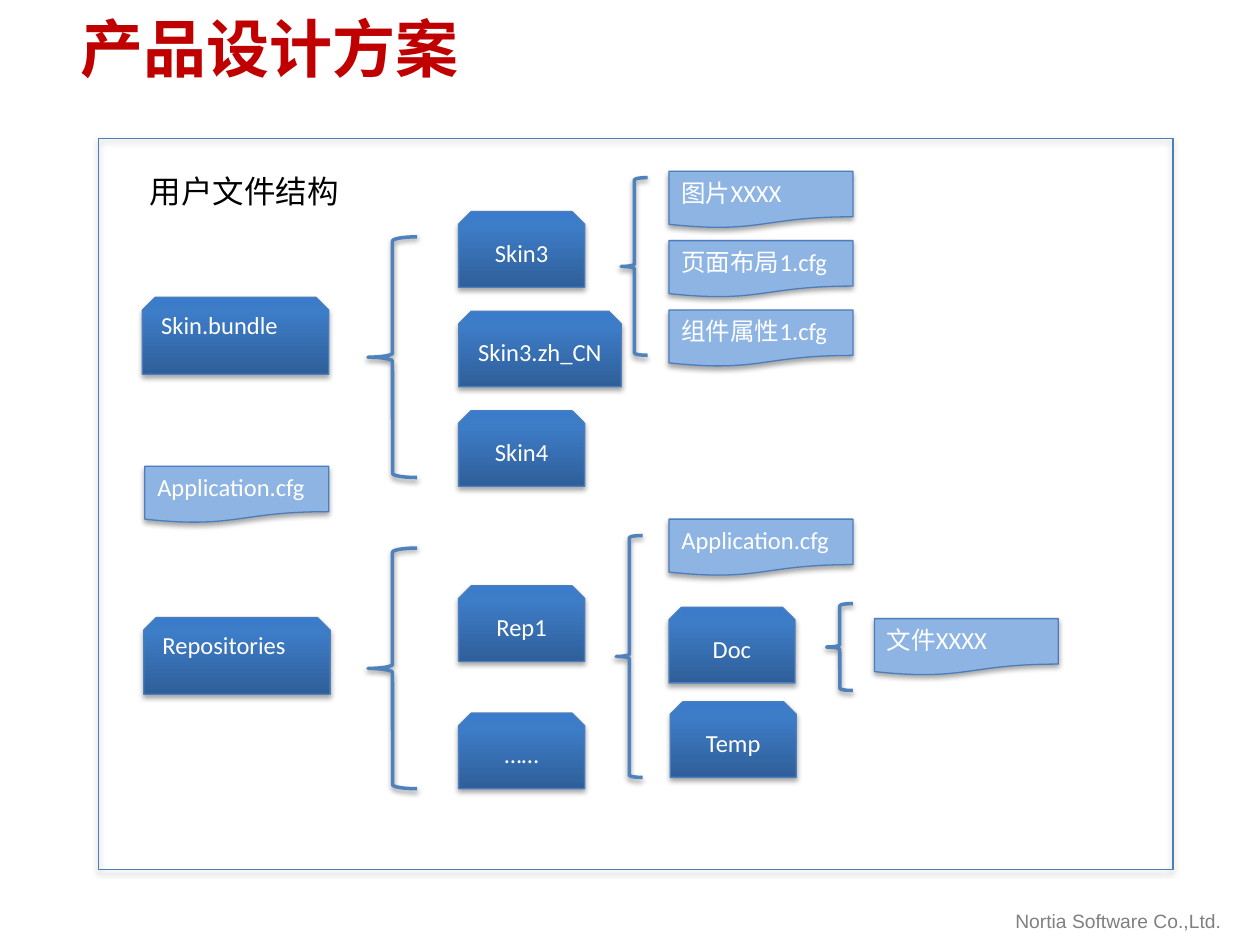
"""Builds the product design slide showing the user file structure."""
from copy import deepcopy
from dataclasses import dataclass

from lxml import etree
from pptx import Presentation
from pptx.dml.color import RGBColor as RGB
from pptx.enum.shapes import MSO_SHAPE as Shape
from pptx.enum.text import MSO_ANCHOR as Anchor, MSO_AUTO_SIZE as AutoSize, PP_ALIGN as Align
from pptx.oxml.ns import qn
from pptx.util import Inches, Pt


@dataclass(frozen=True)
class Theme:
    """Colours, fonts and sizes of the slide."""
    font: str = "Calibri"
    footer_font: str = "Arial"
    title: str = "C00000"
    heading: str = "000000"
    footer: str = "808080"
    label: str = "FFFFFF"
    document: str = "8EB4E3"
    outline: str = "4B7EBC"
    brace: str = "4F81BD"
    folder: tuple = ((0, "2F5F99"), (0.8, "3D7CC7"), (1, "3A7CCB"))
    title_size: int = 36
    heading_size: int = 18
    label_size: int = 14
    footer_size: int = 11


class FileTreeSlide:
    """Draws the parts of a file structure diagram on one slide."""

    def __init__(self, slide, theme):
        self.shapes = slide.shapes
        self.theme = theme

    def set_text(self, frame, wording, size, color, font=None, bold=False, align=Align.LEFT):
        paragraph = frame.paragraphs[0]
        paragraph.text = wording
        paragraph.alignment = align
        paragraph.font.name = font or self.theme.font
        paragraph.font.size = Pt(size)
        paragraph.font.bold = bold
        paragraph.font.color.rgb = RGB.from_string(color)

    def text(self, box, wording, size, color, font=None, bold=False, wrap=False):
        frame = self.shapes.add_textbox(*map(Inches, box)).text_frame
        frame.word_wrap = wrap
        frame.auto_size = AutoSize.NONE if wrap else AutoSize.SHAPE_TO_FIT_TEXT
        frame.vertical_anchor = Anchor.MIDDLE if wrap else Anchor.TOP
        self.set_text(frame, wording, size, color, font, bold)

    def outlined(self, kind, box, color, width=0.75, opacity=35, distance=1.8):
        shape = self.shapes.add_shape(kind, *map(Inches, box))
        shape.fill.background()
        shape.line.color.rgb = RGB.from_string(color)
        shape.line.width = Pt(width)
        shape.shadow.inherit = False
        effects = shape._element.spPr.find(qn("a:effectLst"))
        shadow = etree.SubElement(
            effects, qn("a:outerShdw"), blurRad=str(Pt(3.1)), dist=str(Pt(distance)),
            dir="5400000", rotWithShape="0")
        black = etree.SubElement(shadow, qn("a:srgbClr"), val="000000")
        etree.SubElement(black, qn("a:alpha"), val=str(opacity * 1000))
        return shape

    def frame(self, *box):
        self.outlined(Shape.RECTANGLE, box, self.theme.outline)

    def brace(self, *box):
        self.outlined(Shape.LEFT_BRACE, box, self.theme.brace, 2, 38, 1.6)

    def label(self, shape, wording, anchor, align):
        shape.text_frame.vertical_anchor = anchor
        self.set_text(shape.text_frame, wording, self.theme.label_size, self.theme.label,
                      align=align)

    def document(self, wording, left, top):
        document = self.outlined(
            Shape.FLOWCHART_DOCUMENT, (left, top, 1.46, 0.45), self.theme.outline)
        document.fill.solid()
        document.fill.fore_color.rgb = RGB.from_string(self.theme.document)
        self.label(document, wording, Anchor.TOP, Align.LEFT)

    def folder(self, wording, left, top, width=1, height=0.6,
               anchor=Anchor.MIDDLE, align=Align.CENTER):
        folder = self.outlined(
            Shape.SNIP_2_SAME_RECTANGLE, (left, top, width, height), self.theme.outline)
        folder.fill.gradient()
        folder.fill.gradient_angle = 90
        stops = folder._element.spPr.find(".//" + qn("a:gsLst"))
        stops.insert(1, deepcopy(stops[0]))
        for stop, (position, color) in zip(folder.fill.gradient_stops, self.theme.folder):
            stop.position = position
            stop.color.rgb = RGB.from_string(color)
        self.label(folder, wording, anchor, align)

    def root(self, wording, left, top):
        self.folder(wording, left, top, 1.48, 0.61, Anchor.TOP, Align.LEFT)


def main():
    deck = Presentation()
    deck.slide_width, deck.slide_height = Inches(10), Inches(7.5)
    theme = Theme()
    tree = FileTreeSlide(deck.slides.add_slide(deck.slide_layouts[6]), theme)

    tree.text((7.96, 7.17, 1.96, 0.29), "Nortia Software Co.,Ltd.",
              theme.footer_size, theme.footer, theme.footer_font)
    tree.text((0.54, 0.03, 9, 0.69), "产品设计方案",
              theme.title_size, theme.title, bold=True, wrap=True)
    tree.frame(0.78, 1.1, 8.53, 5.8)
    tree.text((1.09, 1.32, 1.72, 0.4), "用户文件结构", theme.heading_size, theme.heading)

    tree.root("Skin.bundle", 1.13, 2.36)
    tree.document("Application.cfg", 1.15, 3.7)
    tree.root("Repositories", 1.14, 4.9)

    folder_left, detail_left = 3.64, 5.31
    for row, (skin, width) in enumerate((("Skin3", 1), ("Skin3.zh_CN", 1.29), ("Skin4", 1))):
        tree.folder(skin, folder_left, 1.68 + row * 0.79, width)
    for row, skin_file in enumerate(("图片XXXX", "页面布局1.cfg", "组件属性1.cfg")):
        tree.document(skin_file, detail_left, 1.36 + row * 0.55)

    for repository, top in (("Rep1", 4.65), ("……", 5.66)):
        tree.folder(repository, folder_left, top)
    tree.document("Application.cfg", detail_left, 4.12)
    tree.folder("Doc", detail_left, 4.82)
    tree.folder("Temp", 5.32, 5.57)
    tree.document("文件XXXX", 6.94, 4.91)

    for top in (1.88, 4.35):
        tree.brace(2.92, top, 0.39, 1.91)
    for left, top, height in ((4.93, 1.41, 1.41), (4.89, 4.25, 1.92), (6.56, 4.79, 0.69)):
        tree.brace(left, top, 0.21, height)

    deck.save("out.pptx")


if __name__ == "__main__":
    main()
